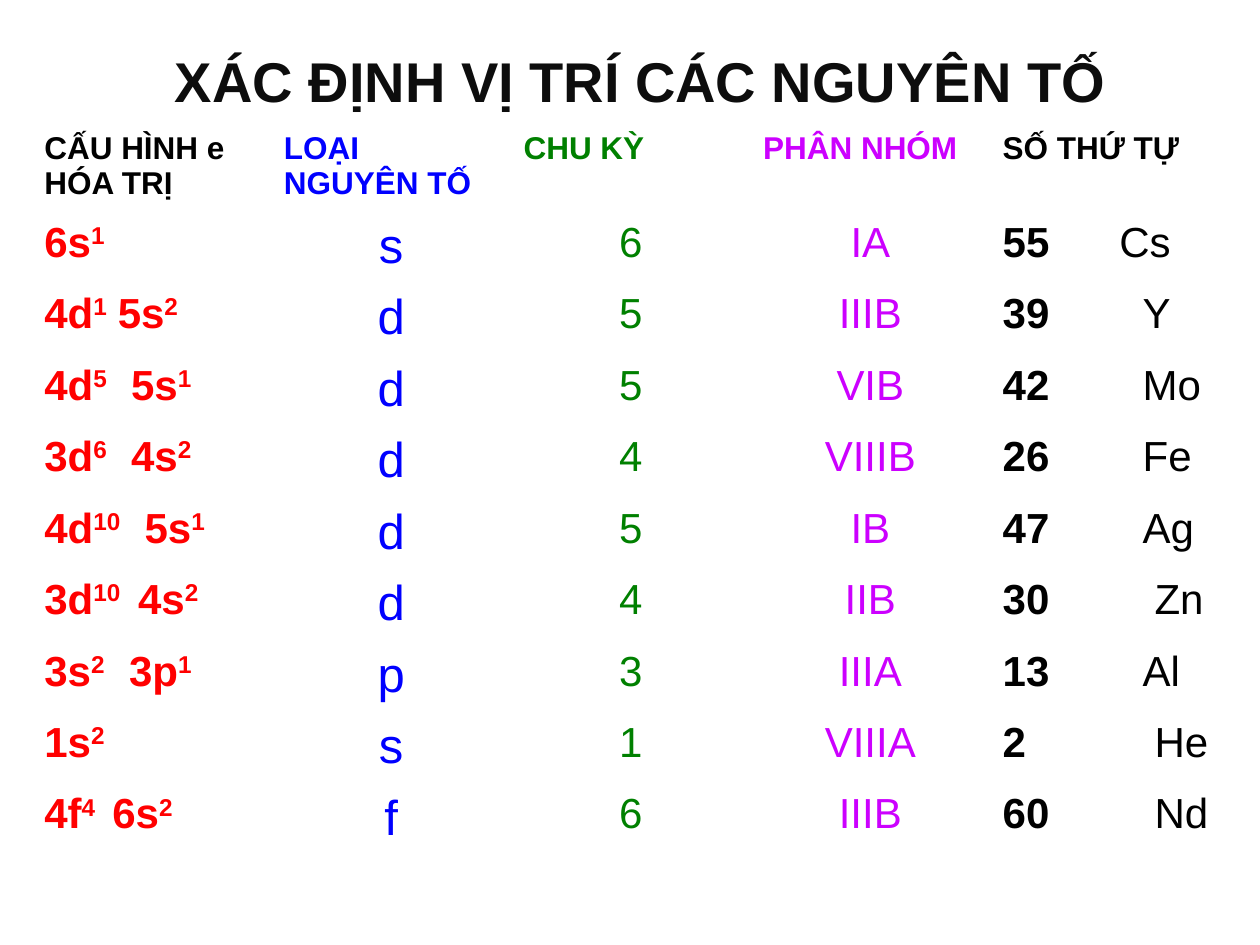
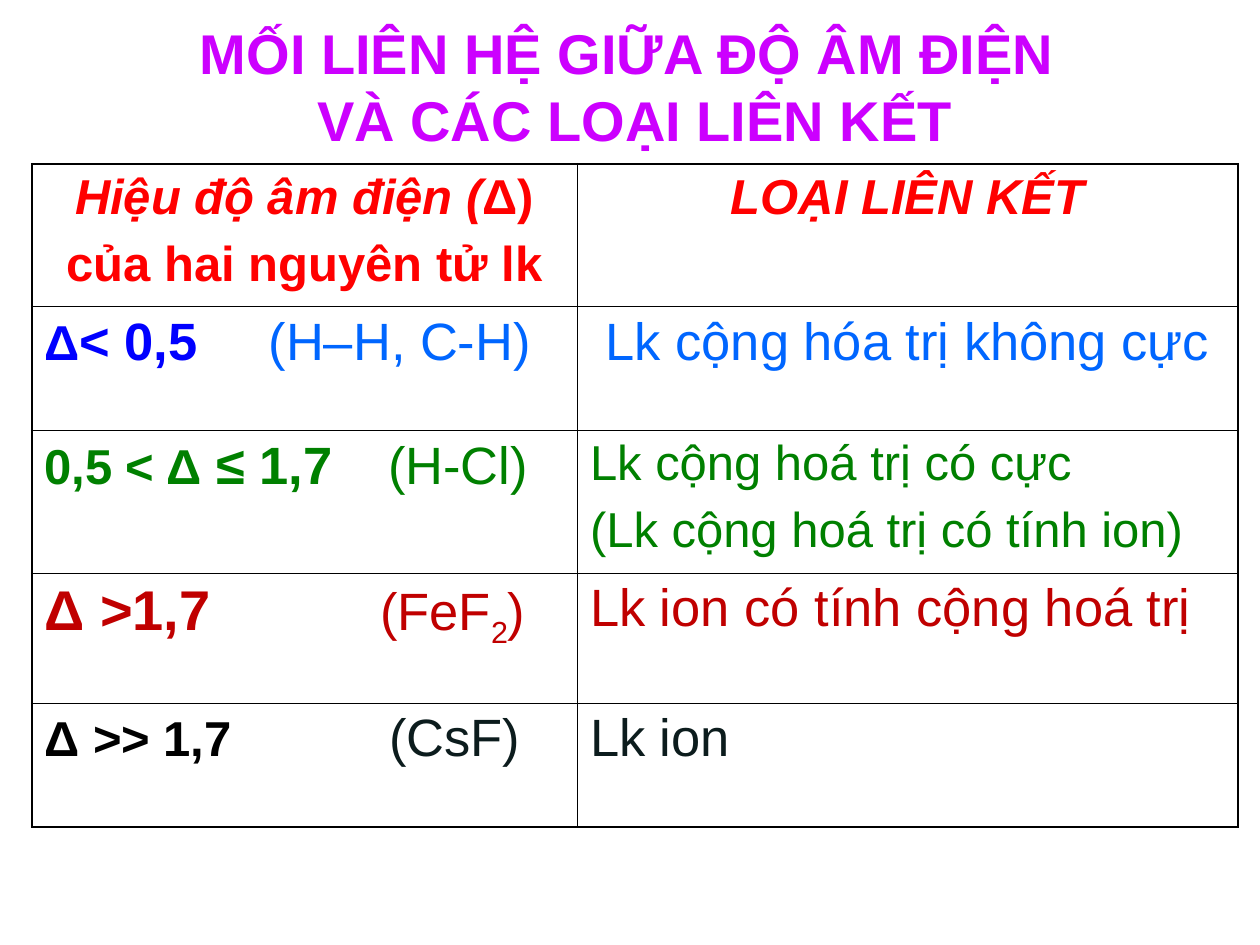
from lxml import etree
from pptx import Presentation
from pptx.dml.color import RGBColor
from pptx.enum.text import MSO_ANCHOR, PP_ALIGN
from pptx.oxml.ns import qn
from pptx.util import Cm, Pt

LEFT, CENTER = PP_ALIGN.LEFT, PP_ALIGN.CENTER
MIDDLE = MSO_ANCHOR.MIDDLE
BLANK_LAYOUT = 6
FONT = "Arial"
COLORS = {
    "white": "FFFFFF",
    "black": "000000",
    "title": "0D0D0D",
    "red": "FF0000",
    "blue": "0000FF",
    "sky": "0066FF",
    "green": "008000",
    "violet": "CC00FF",
    "crimson": "C00000",
    "ink": "0C1C1D",
}
SUPERSCRIPT, SUBSCRIPT = 30000, -25000

ELEMENT_HEADERS = [
    ("CẤU HÌNH e HÓA TRỊ", "black"),
    ("LOẠI NGUYÊN TỐ", "blue"),
    ("CHU KỲ", "green"),
    ("PHÂN NHÓM", "violet"),
    ("SỐ THỨ TỰ", "black"),
]
ELEMENTS = [
    ("6s^1", None, "s", "6", "IA", "55", "Cs", 2.35),
    ("4d^1 5s^2", 1.48, "d", "5", "IIIB", "39", "Y", 2.82),
    ("4d^5 5s^1", 1.75, "d", "5", "VIB", "42", "Mo", 2.82),
    ("3d^6 4s^2", 1.75, "d", "4", "VIIIB", "26", "Fe", 2.82),
    ("4d^10 5s^1", 2.02, "d", "5", "IB", "47", "Ag", 2.82),
    ("3d^10 4s^2", 1.89, "d", "4", "IIB", "30", "Zn", 3.06),
    ("3s^2 3p^1", 1.71, "p", "3", "IIIA", "13", "Al", 2.82),
    ("1s^2", None, "s", "1", "VIIIA", "2", "He", 3.06),
    ("4f^4 6s^2", 1.37, "f", "6", "IIIB", "60", "Nd", 3.06),
]


def style(size, color, bold=False, italic=False, baseline=0):
    return {"size": Pt(size), "bold": bold, "italic": italic,
            "color": color, "baseline": baseline}


def add_run(paragraph, text, text_style):
    run = paragraph.add_run()
    run.text = text
    values = dict(text_style, name=FONT)
    run.font.color.rgb = RGBColor.from_string(COLORS[values.pop("color")])
    baseline = values.pop("baseline")
    for name, value in values.items():
        setattr(run.font, name, value)
    if baseline:
        run.font._element.set("baseline", str(baseline))


def set_tab(paragraph, position):
    tabs = etree.SubElement(paragraph._p.get_or_add_pPr(), qn("a:tabLst"))
    etree.SubElement(tabs, qn("a:tab"), pos=str(Cm(position)), algn="l")


def fill_cell(cell, lines, alignment=LEFT, tab=None):
    frame = cell.text_frame
    for index, runs in enumerate(lines):
        paragraph = frame.add_paragraph() if index else frame.paragraphs[0]
        paragraph.alignment = alignment
        if index:
            paragraph.space_before = Pt(7)
        if tab:
            set_tab(paragraph, tab)
        for text, text_style in runs:
            add_run(paragraph, text, text_style)


def set_border(cell, side, color, width):
    line = etree.SubElement(cell._tc.get_or_add_tcPr(), qn(f"a:ln{side}"),
                            w=str(Pt(width)))
    fill = etree.SubElement(line, qn("a:solidFill"))
    etree.SubElement(fill, qn("a:srgbClr"), val=COLORS[color])


def add_grid(slide, left, top, widths, heights, color, inner, outer):
    shape = slide.shapes.add_table(len(heights), len(widths), Cm(left), Cm(top),
                                   Cm(sum(widths)), Cm(sum(heights)))
    table = shape.table
    table.first_row = table.horz_banding = False
    for column, width in zip(table.columns, widths):
        column.width = Cm(width)
    for row, height in zip(table.rows, heights):
        row.height = Cm(height)
    last_row, last_column = len(heights) - 1, len(widths) - 1
    for row in range(len(heights)):
        for column in range(len(widths)):
            cell = table.cell(row, column)
            edges = {"L": column == 0, "R": column == last_column,
                     "T": row == 0, "B": row == last_row}
            for side, is_outer in edges.items():
                set_border(cell, side, color, outer if is_outer else inner)
            cell.fill.background()
    return table


def add_title(slide, box, text, color):
    shape = slide.shapes.add_textbox(*(Cm(length) for length in box))
    frame = shape.text_frame
    frame.word_wrap = True
    frame.vertical_anchor = MIDDLE
    paragraph = frame.paragraphs[0]
    paragraph.alignment = CENTER
    for index, line in enumerate(text.split("\n")):
        if index:
            paragraph.add_line_break()
        add_run(paragraph, line, style(32, color, bold=True))


def configuration_runs(configuration):
    runs = []
    for index, orbital in enumerate(configuration.split()):
        shell, electrons = orbital.split("^")
        prefix = "\t" if index else ""
        runs.append((prefix + shell, style(24, "red", bold=True)))
        runs.append((electrons, style(24, "red", bold=True, baseline=SUPERSCRIPT)))
    return runs


def add_element_table(slide, left, top):
    table = add_grid(slide, left, top, [4.83] * 5, [1.78] + [1.44] * 8 + [3.28],
                     "white", 0.45, 0.45)
    for column, (header, color) in enumerate(ELEMENT_HEADERS):
        fill_cell(table.cell(0, column), [[(header, style(18, color, bold=True))]])
    for row, element in enumerate(ELEMENTS, start=1):
        configuration, shell_tab, kind, period, group, number, symbol, symbol_tab = element
        fill_cell(table.cell(row, 0), [configuration_runs(configuration)], tab=shell_tab)
        centred = [(kind, 28, "blue"), (period, 24, "green"), (group, 24, "violet")]
        for column, (text, size, color) in enumerate(centred, start=1):
            fill_cell(table.cell(row, column), [[(text, style(size, color))]], CENTER)
        fill_cell(table.cell(row, 4),
                  [[(number, style(24, "black", bold=True)),
                    ("\t" + symbol, style(24, "black"))]], tab=symbol_tab)


def add_bond_table(slide, left, top):
    table = add_grid(slide, left, top, [11, 13.31], [2.87, 2.5, 2.88, 2.62, 2.5],
                     "black", 0.45, 1.08)
    heading = style(28, "red", bold=True)
    slanted = style(28, "red", bold=True, italic=True)
    fill_cell(table.cell(0, 0), [[("Hiệu độ âm điện (", slanted), ("Δ)", heading)],
                                 [("của hai nguyên tử lk", heading)]], CENTER)
    fill_cell(table.cell(0, 1), [[("LOẠI LIÊN KẾT", slanted)]], CENTER)

    sky, green, crimson, ink = (style(30, color)
                                for color in ("sky", "green", "crimson", "ink"))
    bonds = [
        ([("Δ", style(28, "blue", bold=True)), ("< 0,5", style(30, "blue", bold=True)),
          ("\t(H–H, C-H)", sky)], 4.52,
         [[("Lk cộng hóa trị không cực", sky)]], CENTER),
        ([("0,5 < Δ", style(28, "green", bold=True)),
          (" ≤ 1,7", style(30, "green", bold=True)), ("\t(H-Cl)", green)], 6.93,
         [[("Lk cộng hoá trị có cực", style(28, "green"))],
          [("(Lk cộng hoá trị có tính ion)", style(28, "green"))]], LEFT),
        ([("Δ >1,7", style(32, "crimson", bold=True)), ("\t(FeF", crimson),
          ("2", style(30, "crimson", baseline=SUBSCRIPT)), (")", crimson)], 6.77,
         [[("Lk ion có tính cộng hoá trị", crimson)]], LEFT),
        ([("Δ >> 1,7", style(28, "black", bold=True)), ("\t(CsF)", ink)], 6.95,
         [[("Lk ion", ink)]], LEFT),
    ]
    for row, (difference, tab, bond, alignment) in enumerate(bonds, start=1):
        fill_cell(table.cell(row, 0), [difference], tab=tab)
        fill_cell(table.cell(row, 1), bond, alignment)


def add_element_slide(presentation):
    slide = presentation.slides.add_slide(presentation.slide_layouts[BLANK_LAYOUT])
    add_title(slide, (0, 0.03, 25.83, 3.18), "XÁC ĐỊNH VỊ TRÍ CÁC NGUYÊN TỐ", "title")
    add_element_table(slide, 0.64, 2.51)


def add_bond_slide(presentation):
    slide = presentation.slides.add_slide(presentation.slide_layouts[BLANK_LAYOUT])
    add_title(slide, (1.37, 0.13, 22.86, 3.18),
              "MỐI LIÊN HỆ GIỮA ĐỘ ÂM ĐIỆN \nVÀ CÁC LOẠI LIÊN KẾT", "violet")
    add_bond_table(slide, 0.64, 3.3)


def main():
    presentation = Presentation()
    presentation.slide_width, presentation.slide_height = Cm(25.4), Cm(19.05)
    add_element_slide(presentation)
    add_bond_slide(presentation)
    presentation.save("out.pptx")


if __name__ == "__main__":
    main()
